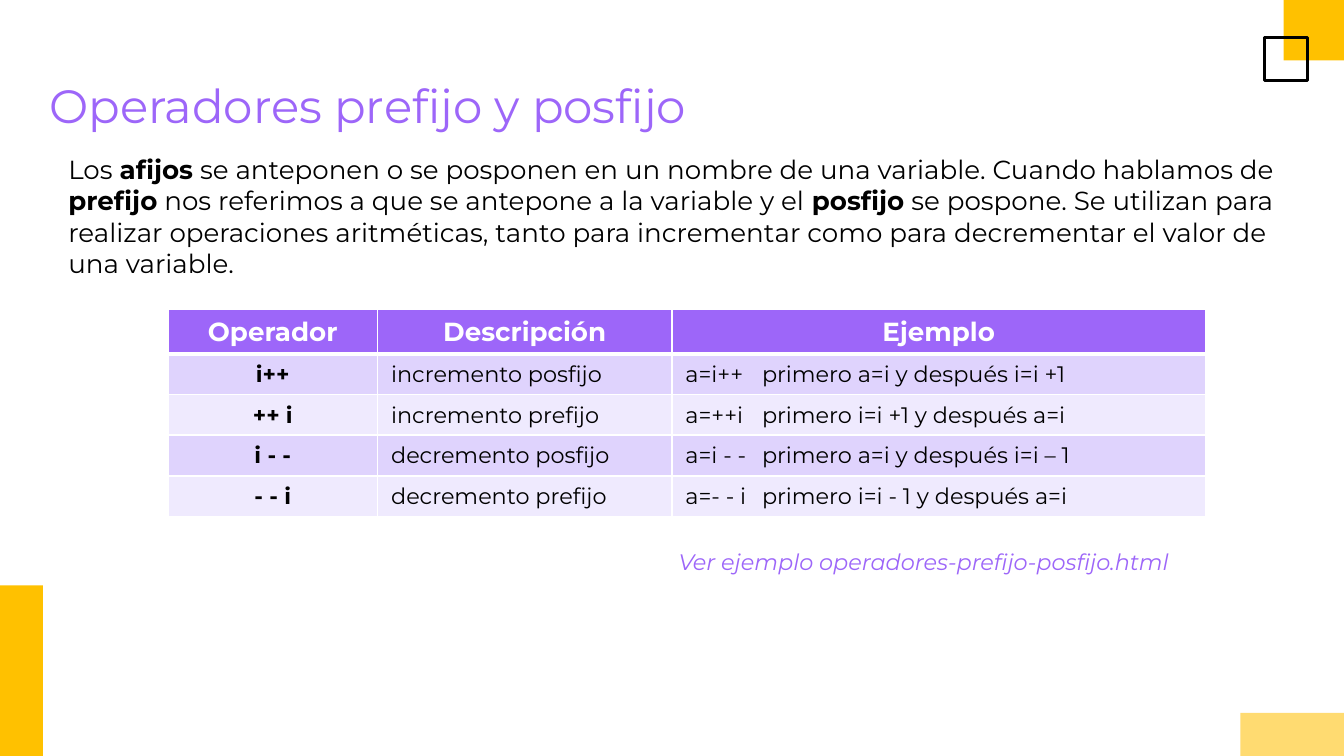
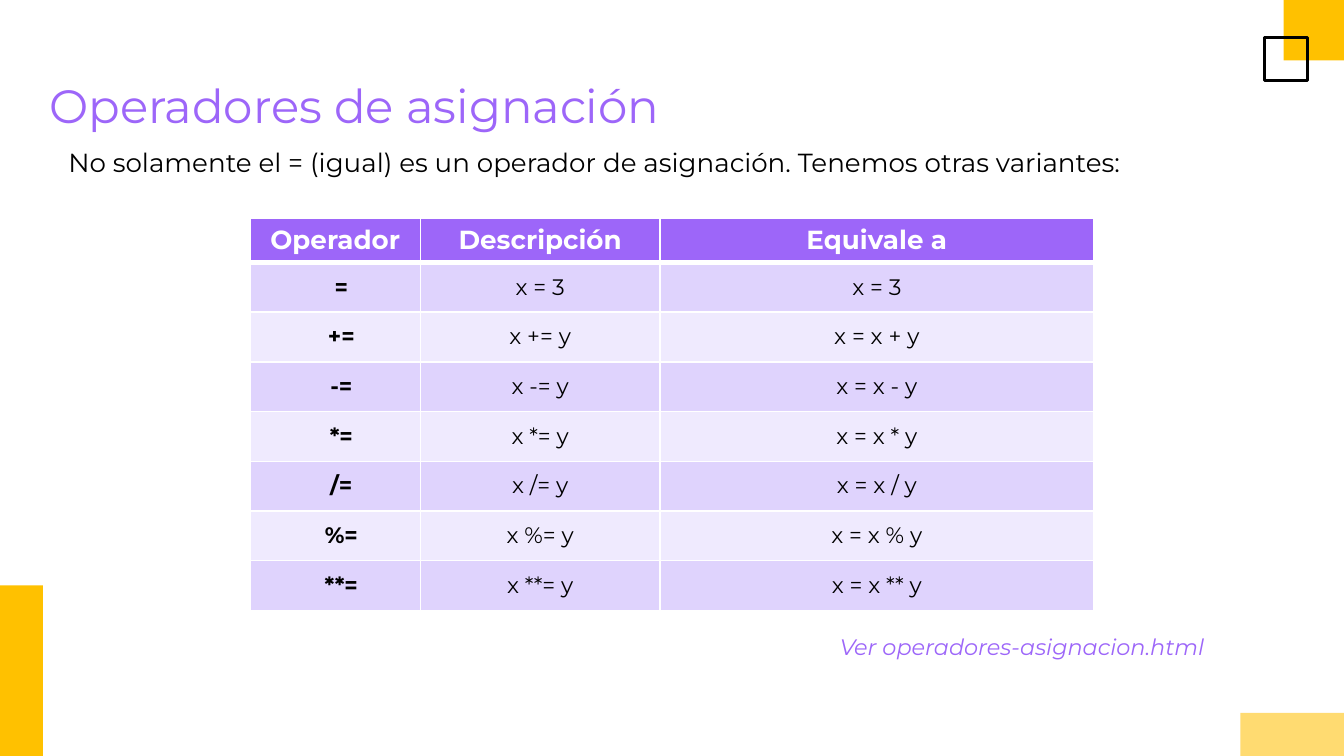
from lxml import etree
from pptx import Presentation
from pptx import util as u
from pptx.dml.color import RGBColor
from pptx.enum import shapes, text
from pptx.oxml import ns

FONT = "Montserrat"
HUES = {
    "ink": "000000",
    "paper": "FFFFFF",
    "title": "9D66F9",
    "dark": "DFD3FD",
    "light": "EFEAFE",
    "gold": "FFC100",
    "sand": "FFDB71",
}
WIDE = 10
HIGH = WIDE * 9 / 16
MID = text.PP_ALIGN.CENTER
LEFT = text.PP_ALIGN.LEFT


def hue(name):
    return RGBColor.from_string(HUES[name])


def add_run(para, words, size, tint, bold=False, slant=False):
    run = para.add_run()
    run.text = words
    font = run.font
    font.name, font.size = FONT, u.Pt(size)
    font.bold, font.italic = bold, slant
    font.color.rgb = hue(tint)


def add_text(slide, box, runs, size, tint, slant=False):
    frame = slide.shapes.add_textbox(*map(u.Inches, box)).text_frame
    frame.word_wrap = True
    frame.margin_left = frame.margin_right = u.Inches(0.1)
    frame.margin_top = frame.margin_bottom = u.Inches(0.1)
    for words, bold in runs:
        add_run(frame.paragraphs[0], words, size, tint, bold, slant)


def add_rect(slide, box, fill=None, line=None):
    rect = slide.shapes.add_shape(
        shapes.MSO_SHAPE.RECTANGLE, *map(u.Inches, box))
    rect.shadow.inherit = False
    if fill:
        rect.fill.solid()
        rect.fill.fore_color.rgb = hue(fill)
    else:
        rect.fill.background()
    if line:
        rect.line.color.rgb = hue(line)
        rect.line.width = u.Pt(1.5)
    else:
        rect.line.fill.background()


def add_decor(slide, box):
    x, y, w, h = box
    right, base = x + w, y + h
    add_rect(slide, (right - 0.45, y, 0.45, 0.45), "gold")
    add_rect(slide, (x, base - 1.27, 0.32, 1.27), "gold")
    add_rect(slide, (right - 0.59, y + 0.28, 0.32, 0.32), line="ink")
    add_rect(slide, (right - 0.77, base - 0.32, 0.77, 0.32), "sand")


def add_edges(cell, base):
    props = cell._tc.get_or_add_tcPr()
    widths = {"lnL": 1, "lnR": 1, "lnT": 1, "lnB": base}
    for spot, (tag, width) in enumerate(widths.items()):
        line = etree.Element(ns.qn("a:" + tag), w=str(u.Pt(width)))
        fill = etree.SubElement(line, ns.qn("a:solidFill"))
        etree.SubElement(fill, ns.qn("a:srgbClr"), val=HUES["paper"])
        props.insert(spot, line)


def add_stop(para, place):
    props = para._p.get_or_add_pPr()
    stops = etree.SubElement(props, ns.qn("a:tabLst"))
    etree.SubElement(stops, ns.qn("a:tab"),
                     pos=str(u.Inches(place)), algn="l")


def fill_cell(cell, words, head, first, shade, align, pad):
    cell.fill.solid()
    cell.fill.fore_color.rgb = hue(shade)
    if pad and not head:
        cell.margin_left = u.Inches(0.17 if first else pad)
        cell.margin_right = u.Inches(pad)
        cell.margin_top = cell.margin_bottom = u.Inches(pad)
    para = cell.text_frame.paragraphs[0]
    para.alignment = MID if head or first else align
    if "\t" in words:
        add_stop(para, 0.57)
    add_run(para, words, 14 if head else 12,
            "paper" if head else "ink", head or first)


def add_grid(slide, box, cols, rows, align, pad=None):
    h = box[3]
    grid = slide.shapes.add_table(
        len(rows), len(cols), *map(u.Inches, box)).table
    grid.first_row = grid.horz_banding = False
    for col, width in zip(grid.columns, cols):
        col.width = u.Inches(width)
    top = 0.33
    step = (h - top) / (len(rows) - 1)
    for r, row in enumerate(rows):
        head = r == 0
        grid.rows[r].height = u.Inches(top if head else step)
        shade = "title" if head else "dark" if r % 2 else "light"
        for c, words in enumerate(row):
            cell = grid.cell(r, c)
            fill_cell(cell, words, head, c == 0, shade, align, pad)
            add_edges(cell, 3 if head else 1)


def add_page(deck, title):
    slide = deck.slides.add_slide(deck.slide_layouts[6])
    add_decor(slide, (0, 0, WIDE, HIGH))
    add_text(slide, (0.27, 0.47, 9.47, 0.63), [(title, False)], 25, "title")
    return slide


def add_note(slide, box, words):
    add_text(slide, box, [(words, False)], 12, "title", True)


def add_affix(deck):
    slide = add_page(deck, "Operadores prefijo y posfijo")
    rows = [
        ("Operador", "Descripción", "Ejemplo"),
        ("i++", "incremento posfijo", "a=i++\tprimero a=i y después i=i +1"),
        ("++ i", "incremento prefijo", "a=++i\tprimero i=i +1 y después a=i"),
        ("i - -", "decremento posfijo",
         "a=i - -\tprimero a=i y después i=i – 1"),
        ("- - i", "decremento prefijo",
         "a=- - i\tprimero i=i - 1 y después a=i"),
    ]
    add_grid(slide, (1.25, 2.3, 7.72, 1.54), (1.56, 2.19, 3.97), rows, LEFT)
    add_text(slide, (0.41, 1.04, 9.25, 1.11), [
        ("Los ", False),
        ("afijos", True),
        (" se anteponen o se posponen en un nombre de una variable. "
         "Cuando hablamos de ", False),
        ("prefijo", True),
        (" nos referimos a que se antepone a la variable y el ", False),
        ("posfijo", True),
        (" se pospone. Se utilizan para realizar operaciones aritméticas, "
         "tanto para incrementar como para decrementar el valor de una "
         "variable.", False),
    ], 14, "ink")
    add_note(slide, (4.95, 3.98, 4.01, 0.46),
             "Ver ejemplo operadores-prefijo-posfijo.html")


def add_assign(deck):
    slide = add_page(deck, "Operadores de asignación")
    add_text(slide, (0.41, 0.99, 8.2, 0.42), [
        ("No solamente el = (igual) es un operador de asignación. "
         "Tenemos otras variantes:", False),
    ], 14, "ink")
    rows = [("Operador", "Descripción", "Equivale a"),
            ("=", "x = 3", "x = 3")]
    for sign in ("+", "-", "*", "/", "%", "**"):
        rows.append((f"{sign}=", f"x {sign}= y", f"x = x {sign} y"))
    add_grid(slide, (1.86, 1.62, 6.28, 2.92), (1.27, 1.78, 3.23),
             rows, MID, 0.08)
    add_note(slide, (6.15, 4.61, 3.19, 0.46),
             "Ver operadores-asignacion.html")


def main():
    deck = Presentation()
    deck.slide_width, deck.slide_height = u.Inches(WIDE), u.Inches(HIGH)
    add_affix(deck)
    add_assign(deck)
    deck.save("out.pptx")


if __name__ == "__main__":
    main()
